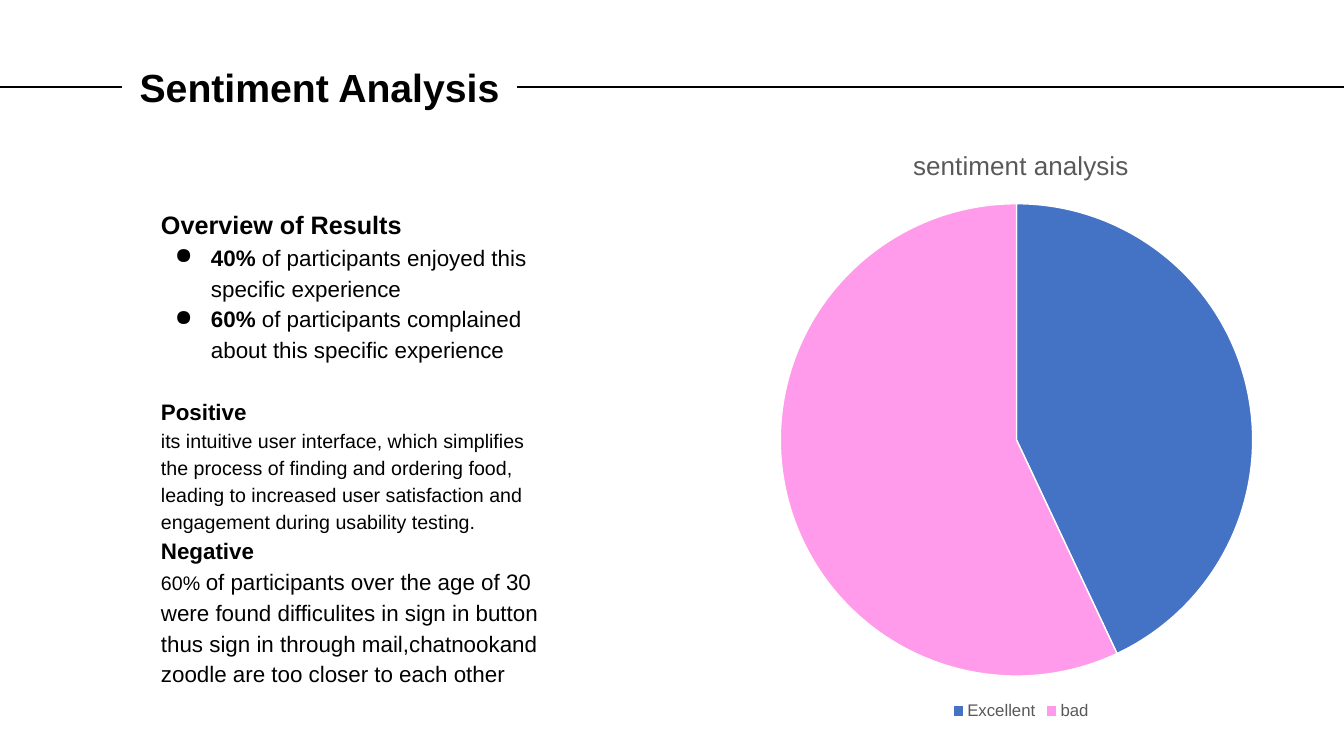
from lxml import etree
from pptx import Presentation
from pptx.chart.data import CategoryChartData
from pptx.dml.color import RGBColor
from pptx.enum.chart import XL_CHART_TYPE, XL_LEGEND_POSITION
from pptx.enum.shapes import MSO_CONNECTOR
from pptx.enum.text import MSO_ANCHOR, MSO_AUTO_SIZE, PP_ALIGN
from pptx.oxml import parse_xml
from pptx.oxml.ns import nsdecls, qn
from pptx.util import Pt

PIE = XL_CHART_TYPE.PIE
BOTTOM = XL_LEGEND_POSITION.BOTTOM
STRAIGHT = MSO_CONNECTOR.STRAIGHT
MIDDLE, TOP = MSO_ANCHOR.MIDDLE, MSO_ANCHOR.TOP
NO_FIT = MSO_AUTO_SIZE.NONE
CENTER = PP_ALIGN.CENTER

FONT = "Arial"
COLORS = {"ink": "000000", "paper": "FFFFFF", "label": "595959",
          "excellent": "4472C4", "bad": "FF9BEA"}
SLIDE_W, SLIDE_H = 1344, 756
LEFT_SIDE, RIGHT_SIDE = 1, 3

# Each paragraph: bulleted, space before in points, runs (text, size, bold)
FINDINGS = [
    (False, 0, [("Overview of Results", 18, True)]),
    (True, 0, [("40%", 16, True),
               (" of participants enjoyed this specific experience", 16, False)]),
    (True, 0, [("60%", 16, True),
               (" of participants complained about this specific experience", 16, False)]),
    (False, 22, [("Positive", 16, True)]),
    (False, 0, [("its intuitive user interface, which simplifies the process of "
                 "finding and ordering food, leading to increased user satisfaction "
                 "and engagement during usability testing.", 14, False)]),
    (False, 0, [("Negative", 16, True)]),
    (False, 0, [("60% ", 14, False),
                ("of participants over the age of 30 were found difficulites in sign in "
                 "button thus sign in through mail,chatnookand zoodle are too closer "
                 "to each other", 16, False)]),
]


def px(n):
    return round(n * 914400 / 100.8)


def color(name):
    return RGBColor.from_string(COLORS[name])


def style_font(font, size, name="ink", bold=False):
    font.name = FONT
    font.size = Pt(size)
    font.bold = bold
    font.color.rgb = color(name)


def add_run(p, text, size, bold):
    r = p.add_run()
    r.text = text
    style_font(r.font, size, bold=bold)


def set_frame(tf, anchor):
    tf.word_wrap = True
    tf.auto_size = NO_FIT
    tf.vertical_anchor = anchor
    tf.margin_left = tf.margin_right = tf.margin_top = tf.margin_bottom = px(13)


def add_bullet(p):
    pPr = p._p.get_or_add_pPr()
    pPr.set("marL", str(px(50)))
    pPr.set("indent", str(-px(36)))
    etree.SubElement(pPr, qn("a:buChar")).set("char", "●")


def place_title(s, text, x, y, w, h):
    sp = s.shapes.title
    sp.left, sp.top, sp.width, sp.height = px(x), px(y), px(w), px(h)
    sp.fill.solid()
    sp.fill.fore_color.rgb = color("paper")
    set_frame(sp.text_frame, MIDDLE)
    p = sp.text_frame.paragraphs[0]
    p.alignment = CENTER
    add_run(p, text, 28, True)
    return sp


def add_rule(s, title, side, edge_x):
    y = title.top + title.height // 2
    line = s.shapes.add_connector(STRAIGHT, px(edge_x), y, px(edge_x), y)
    line.end_connect(title, side)
    line.line.color.rgb = color("ink")
    line.line.width = Pt(1.5)
    etree.SubElement(line._element.spPr, qn("a:effectLst"))


def add_findings(s, x, y, w, h):
    tf = s.shapes.add_textbox(px(x), px(y), px(w), px(h)).text_frame
    set_frame(tf, TOP)
    for i, (bulleted, before, runs) in enumerate(FINDINGS):
        p = tf.add_paragraph() if i else tf.paragraphs[0]
        p.line_spacing = 1.15
        p.space_before = Pt(before)
        if bulleted:
            add_bullet(p)
        for run in runs:
            add_run(p, *run)


def add_pie(s, title, shares, x, y, w, h):
    data = CategoryChartData()
    data.categories = [label for label, _, _ in shares]
    data.add_series(title, [value for _, value, _ in shares])
    chart = s.shapes.add_chart(PIE, px(x), px(y), px(w), px(h), data).chart
    style_font(chart.font, 10)

    chart.has_title = True
    r = chart.chart_title.text_frame.paragraphs[0].add_run()
    r.text = title
    style_font(r.font, 18.6, "label")

    chart.has_legend = True
    chart.legend.position = BOTTOM
    chart.legend.include_in_layout = False
    style_font(chart.legend.font, 12, "label")

    plot = chart.plots[0]
    plot.vary_by_categories = True
    for i, (_, _, name) in enumerate(shares):
        fmt = plot.series[0].points[i].format
        fmt.fill.solid()
        fmt.fill.fore_color.rgb = color(name)
        fmt.line.color.rgb = color("paper")
        fmt.line.width = Pt(1)

    # Pie area as fractions of the chart frame
    area = {"x": 0.23, "y": 0.13, "w": 0.53, "h": 0.79}
    parts = "".join(f'<c:{k} val="{v}"/>' for k, v in area.items())
    layout = parse_xml(
        f'<c:layout {nsdecls("c")}><c:manualLayout><c:layoutTarget val="inner"/>'
        f'<c:xMode val="edge"/><c:yMode val="edge"/>{parts}'
        '</c:manualLayout></c:layout>')
    plot_area = chart._chartSpace.chart.plotArea
    for old in plot_area.findall(qn("c:layout")):
        plot_area.remove(old)
    plot_area.insert(0, layout)


def main():
    prs = Presentation()
    prs.slide_width, prs.slide_height = px(SLIDE_W), px(SLIDE_H)
    s = prs.slides.add_slide(prs.slide_layouts[5])

    # Heading with a rule on either side
    title = place_title(s, "Sentiment Analysis", 122, 48, 395, 78)
    add_rule(s, title, LEFT_SIDE, 0)
    add_rule(s, title, RIGHT_SIDE, SLIDE_W)

    # Findings on the left, pie on the right
    add_findings(s, 148, 192, 412, 197)
    add_pie(s, "sentiment analysis",
            [("Excellent", 43, "excellent"), ("bad", 57, "bad")],
            573, 126, 896, 598)

    prs.save("out.pptx")


if __name__ == "__main__":
    main()
